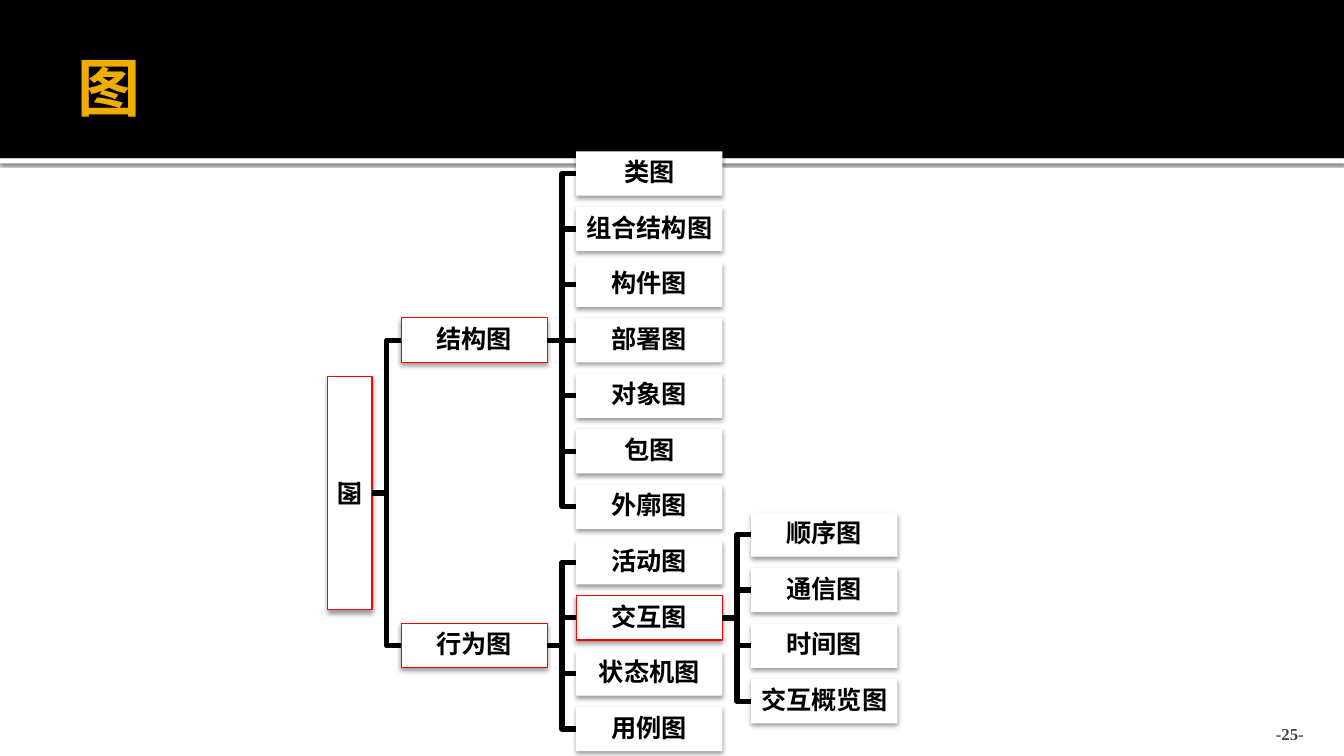
import pptx
import pptx.util
import pptx.dml.color
import pptx.enum.shapes
import pptx.enum.text
import pptx.oxml
import pptx.oxml.ns

Inches = pptx.util.Inches
Pt = pptx.util.Pt
RGBColor = pptx.dml.color.RGBColor
ALIGN = pptx.enum.text.PP_ALIGN
ANCHOR = pptx.enum.text.MSO_ANCHOR
RECT = pptx.enum.shapes.MSO_SHAPE.RECTANGLE

BLACK = RGBColor(0x00, 0x00, 0x00)
WHITE = RGBColor(0xFF, 0xFF, 0xFF)
GOLD = RGBColor(0xF0, 0xAD, 0x00)
GREY = RGBColor(0x45, 0x45, 0x45)
RED = RGBColor(0xFF, 0x00, 0x00)

FONT = "Times New Roman"
BOX_W, BOX_H = 1.45, 0.44
GAP = 0.29
ROW = 5.51 / 10
COL = 3.47 / 2
LEFT = 3.98
ROOT_W, ROOT_MID = 2.32, 4.89
INSET = (0.01, 0.01, 0.01, 0.01)

# Each node is a name and its children.
TREE = ("图", [
    ("结构图", [(name, []) for name in (
        "类图", "组合结构图", "构件图", "部署图", "对象图", "包图", "外廓图")]),
    ("行为图", [
        ("活动图", []),
        ("交互图", [(name, []) for name in (
            "顺序图", "通信图", "时间图", "交互概览图")]),
        ("状态机图", []),
        ("用例图", []),
    ]),
])


def add_shadow(shape, alpha, blur, dist):
    """Add a black shadow that falls straight down; blur and dist in points."""
    shape.shadow.inherit = False
    effects = shape._element.spPr.find(pptx.oxml.ns.qn("a:effectLst"))
    effects.append(pptx.oxml.parse_xml(
        f'<a:outerShdw {pptx.oxml.ns.nsdecls("a")} blurRad="{int(Pt(blur))}" '
        f'dist="{int(Pt(dist))}" dir="5400000" rotWithShape="0">'
        f'<a:srgbClr val="000000"><a:alpha val="{alpha * 1000}"/></a:srgbClr>'
        '</a:outerShdw>'))


def add_rect(slide, left, top, width, height, fill, line=None):
    shape = slide.shapes.add_shape(
        RECT, Inches(left), Inches(top), Inches(width), Inches(height))
    shape.shadow.inherit = False
    shape.fill.solid()
    shape.fill.fore_color.rgb = fill
    if line is None:
        shape.line.fill.background()
    else:
        shape.line.color.rgb = line
        shape.line.width = Pt(0.75)
    return shape


def set_text(shape, text, size, color, align, anchor, inset):
    frame = shape.text_frame
    frame.word_wrap = True
    frame.vertical_anchor = anchor
    (frame.margin_left, frame.margin_top,
     frame.margin_right, frame.margin_bottom) = map(Inches, inset)
    para = frame.paragraphs[0]
    para.text = text
    para.alignment = align
    font = para.runs[0].font
    font.name = FONT
    font.size = Pt(size)
    font.bold = True
    font.color.rgb = color
    return para


def add_text(slide, left, top, width, height):
    return slide.shapes.add_textbox(
        Inches(left), Inches(top), Inches(width), Inches(height))


def set_label(shape, name):
    para = set_text(shape, name, 18, BLACK, ALIGN.CENTER, ANCHOR.MIDDLE, INSET)
    para.line_spacing = 0.9
    para.space_after = Pt(6.3)


def add_link(slide, left, start, end):
    """Draw a stepped line across the gap from one row centre to another."""
    right, mid = left + GAP, left + GAP / 2
    if abs(start - end) < 0.01:
        link = slide.shapes.add_connector(
            pptx.enum.shapes.MSO_CONNECTOR.STRAIGHT,
            Inches(left), Inches(start), Inches(right), Inches(end))
        link._element.spPr.append(
            pptx.oxml.parse_xml(f'<a:effectLst {pptx.oxml.ns.nsdecls("a")}/>'))
    else:
        path = slide.shapes.build_freeform(Inches(left), Inches(start))
        path.add_line_segments(
            [(Inches(x), Inches(y))
             for x, y in ((mid, start), (mid, end), (right, end))],
            close=False)
        link = path.convert_to_shape()
        link.shadow.inherit = False
        link.fill.background()
    link.line.color.rgb = BLACK
    link.line.width = Pt(3.78)


def add_root(slide, name):
    left, top = LEFT - GAP - (BOX_H + ROOT_W) / 2, ROOT_MID - BOX_H / 2
    box = add_rect(slide, left, top, ROOT_W, BOX_H, WHITE, RED)
    box.rotation = 270
    add_shadow(box, 38, 3.5, 2)
    label = add_text(slide, left, top, ROOT_W, BOX_H)
    label.rotation = 180
    set_label(label, name)


def add_node(slide, node, col, mid):
    """Draw a node centred on mid, then its children in the next column."""
    name, kids = node
    left = LEFT + col * COL
    box = add_rect(slide, left, mid - BOX_H / 2, BOX_W, BOX_H, WHITE,
                   RED if kids else None)
    add_shadow(box, 38, 3.5, 2)
    set_label(box, name)
    for index, kid in enumerate(kids):
        row = mid + (index - (len(kids) - 1) / 2) * ROW
        add_link(slide, left + BOX_W, mid, row)
        add_node(slide, kid, col + 1, row)


def add_tree(slide):
    name, kinds = TREE
    span = sum(len(kids) for _, kids in kinds) / 2 * ROW
    add_root(slide, name)
    for kind, mid in zip(kinds, (ROOT_MID - span / 2, ROOT_MID + span / 2)):
        add_link(slide, LEFT - GAP, ROOT_MID, mid)
        add_node(slide, kind, 0, mid)


def add_header(slide):
    strip = add_rect(slide, 0, 1.57, 13.33, 0.05, WHITE)
    add_shadow(strip, 60, 2.5, 0.8)
    add_rect(slide, 0, 0, 13.33, 1.57, BLACK)
    title = add_text(slide, 0.67, 0.17, 12, 1.37)
    set_text(title, "图", 45, GOLD, ALIGN.LEFT, ANCHOR.MIDDLE,
             (0.1, 0.05, 0.05, 0.05))


def main():
    deck = pptx.Presentation()
    deck.slide_width, deck.slide_height = Inches(13.33), Inches(7.5)
    slide = deck.slides.add_slide(deck.slide_layouts[6])
    add_header(slide)
    number = add_text(slide, 11.96, 7.08, 1.07, 0.3)
    set_text(number, "-25-", 12, GREY, ALIGN.RIGHT, ANCHOR.BOTTOM,
             (0.1, 0.05, 0.1, 0))
    add_tree(slide)
    deck.save("out.pptx")


if __name__ == "__main__":
    main()
